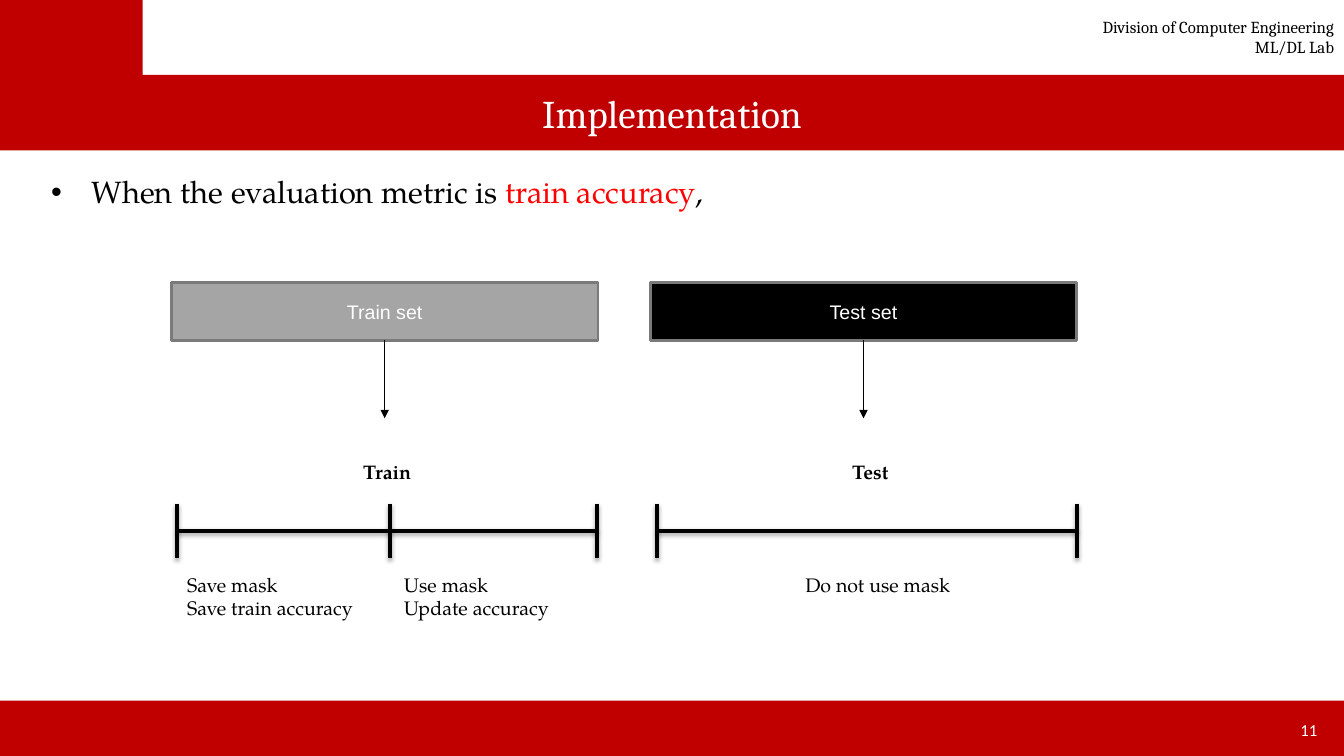
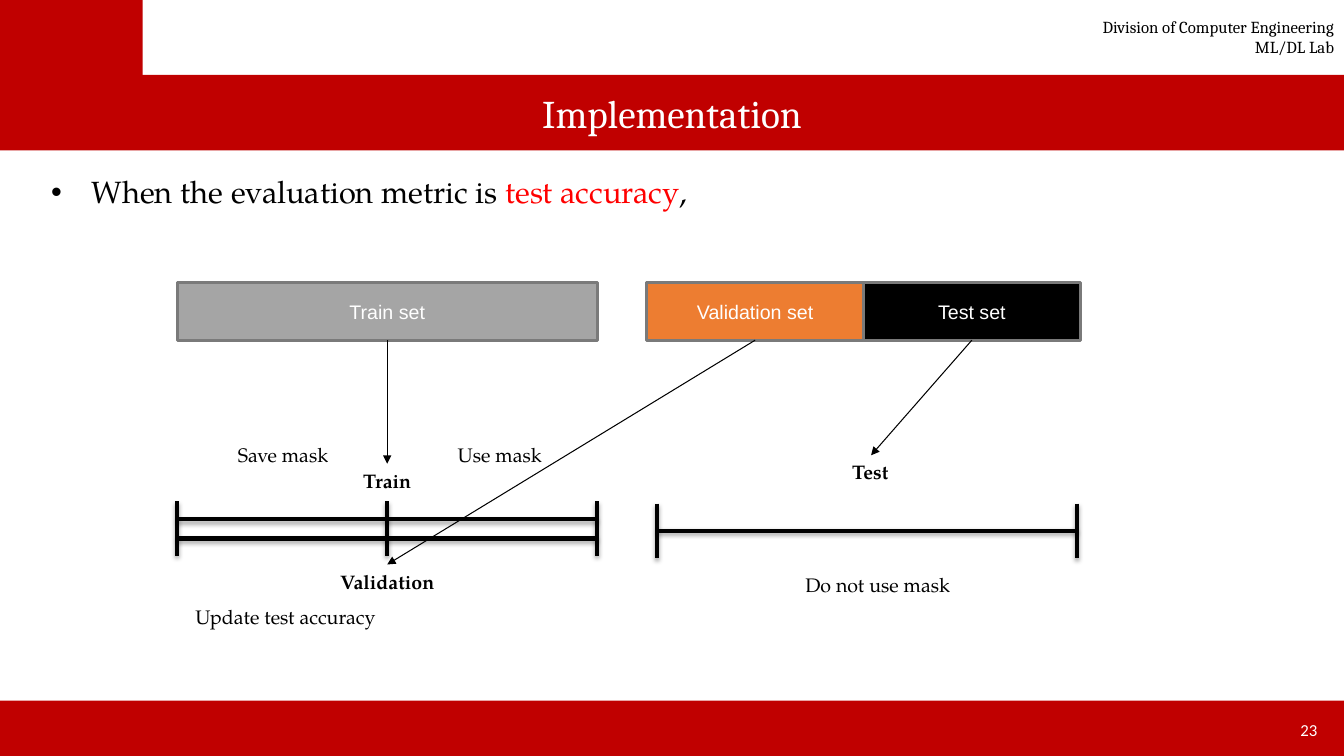
from dataclasses import dataclass

from lxml.etree import SubElement
from pptx import Presentation
from pptx.dml.color import RGBColor
from pptx.enum.shapes import MSO_CONNECTOR as Connector, MSO_SHAPE as Preset
from pptx.enum.text import MSO_ANCHOR as Anchor, MSO_AUTO_SIZE as AutoSize, PP_ALIGN as Align
from pptx.oxml.ns import qn
from pptx.presentation import Presentation as Deck
from pptx.slide import Slide, SlideLayout
from pptx.text.text import TextFrame
from pptx.util import Inches, Pt

COLUMNS, ROWS = 160, 90
WIDTH, HEIGHT = Inches(13.333), Inches(7.5)


@dataclass(frozen=True)
class Theme:
    red: str = "C00000"
    accent: str = "FF0000"
    gray: str = "A5A5A5"
    outline: str = "7A7A7A"
    orange: str = "ED7D31"
    black: str = "000000"
    white: str = "FFFFFF"
    heading_font: str = "Cambria"
    body_font: str = "TeX Gyre Pagella"
    number_font: str = "Calibri"
    box_font: str = "Arial"
    title_size: float = 28
    body_size: float = 22
    label_size: float = 14
    small_size: float = 12
    thick: float = 3
    thin: float = 0.75
    border: float = 2


THEME = Theme()


@dataclass(frozen=True)
class Area:
    column: float
    row: float
    columns: float
    rows: float

    def box(self) -> tuple[int, int, int, int]:
        return across(self.column), down(self.row), across(self.columns), down(self.rows)


@dataclass(frozen=True)
class Style:
    font: str
    size: float
    color: str
    bold: bool = False


@dataclass(frozen=True)
class DataBox:
    text: str
    fill: str
    column: float
    columns: float
    target: tuple[float, float]


@dataclass(frozen=True)
class Timeline:
    column: float
    row: float
    ticks: tuple[float, ...] = (0, 1)
    bars: tuple[float, ...] = (0,)


@dataclass(frozen=True)
class Label:
    lines: tuple[str, ...]
    column: float
    row: float
    bold: bool = False
    align: Align = Align.CENTER


@dataclass(frozen=True)
class Scene:
    number: str
    metric: str
    boxes: tuple[DataBox, ...]
    timelines: tuple[Timeline, ...]
    labels: tuple[Label, ...]


HEADING = Style(THEME.heading_font, THEME.title_size, THEME.white)
HEADER = Style(THEME.heading_font, THEME.small_size, THEME.black)
NUMBER = Style(THEME.number_font, THEME.small_size, THEME.white)
BODY = Style(THEME.body_font, THEME.body_size, THEME.black)
METRIC = Style(THEME.body_font, THEME.body_size, THEME.accent)
BOX_TEXT = Style(THEME.box_font, THEME.label_size, THEME.white)

TITLE_AREA = Area(0, 9, COLUMNS, 8.8)
BODY_AREA = Area(3.7, 20, 152.5, 7.4)
HEADER_AREA = Area(116.5, 1.4, 43.5, 6)
NUMBER_AREA = Area(122, 85.1, 36, 3.5)
BANDS = (Area(0, 83.4, COLUMNS, 6.6), Area(0, 8.9, COLUMNS, 9), Area(0, 0, 17, 9))

BOX_ROW, BOX_ROWS = 33.6, 6.9
TIMELINE_COLUMNS, TICK_REACH = 50, 3.25
LABEL_COLUMNS, LINE_ROWS = 25.8, 2.8
LEFT, RIGHT = 21.1, 78.2
LEFT_MIDDLE = LEFT + TIMELINE_COLUMNS / 2

TEST_LINE = Timeline(RIGHT, 63.2)
TEST_LABELS = (
    Label(("Do not use mask",), 91.6, 67.6),
    Label(("Test",), 90.7, 54.2, bold=True),
)

SCENES = (
    Scene(
        "11",
        "train accuracy",
        (
            DataBox("Train set", THEME.gray, 20.4, 50.8, (45.8, 49.8)),
            DataBox("Test set", THEME.black, 77.4, 50.8, (102.8, 49.8)),
        ),
        (Timeline(LEFT, 63.2, (0, 0.506, 1)), TEST_LINE),
        (
            Label(("Save mask", "Save train accuracy"), LEFT, 67.6, align=Align.LEFT),
            Label(("Use mask", "Update accuracy"), 46.9, 67.6, align=Align.LEFT),
            Label(("Train",), 33.2, 54.2, bold=True),
            *TEST_LABELS,
        ),
    ),
    Scene(
        "23",
        "test accuracy",
        (
            DataBox("Train set", THEME.gray, LEFT, 50, (LEFT_MIDDLE, 55.2)),
            DataBox("Validation set", THEME.orange, 77, 25.8, (LEFT_MIDDLE, 67.2)),
            DataBox("Test set", THEME.black, 102.8, 25.8, (103.7, 54.2)),
        ),
        (Timeline(LEFT, 62.9, (0, 0.5, 1), (-1.1, 1.2)), TEST_LINE),
        (
            Label(("Save mask",), 20.8, 52.1),
            Label(("Use mask",), 46.6, 52.1),
            Label(("Train",), 33.2, 55.2, bold=True),
            Label(("Validation",), 33.2, 67.2, bold=True),
            Label(("Update test accuracy",), LEFT, 71.4),
            *TEST_LABELS,
        ),
    ),
)


def across(columns: float) -> int:
    return round(WIDTH * columns / COLUMNS)


def down(rows: float) -> int:
    return round(HEIGHT * rows / ROWS)


def color(value: str) -> RGBColor:
    return RGBColor.from_string(value)


def add_run(paragraph, text: str, style: Style) -> None:
    run = paragraph.add_run()
    run.text = text
    run.font.name = style.font
    run.font.size = Pt(style.size)
    run.font.bold = style.bold
    run.font.color.rgb = color(style.color)


def write_lines(frame: TextFrame, lines: tuple[str, ...], style: Style, align: Align) -> None:
    frame.word_wrap = True
    for index, line in enumerate(lines):
        paragraph = frame.add_paragraph() if index else frame.paragraphs[0]
        paragraph.alignment = align
        add_run(paragraph, line, style)


def add_text(slide: Slide, area: Area, lines: tuple[str, ...], style: Style,
             align: Align, anchor: Anchor = Anchor.TOP):
    shape = slide.shapes.add_textbox(*area.box())
    shape.text_frame.vertical_anchor = anchor
    write_lines(shape.text_frame, lines, style, align)
    return shape


def add_rectangle(slide: Slide, area: Area, fill: str):
    shape = slide.shapes.add_shape(Preset.RECTANGLE, *area.box())
    shape.shadow.inherit = False
    shape.fill.solid()
    shape.fill.fore_color.rgb = color(fill)
    shape.line.fill.background()
    return shape


def add_line(slide: Slide, start: tuple[float, float], end: tuple[float, float], weight: float):
    line = slide.shapes.add_connector(
        Connector.STRAIGHT, across(start[0]), down(start[1]), across(end[0]), down(end[1]))
    line.line.color.rgb = color(THEME.black)
    line.line.width = Pt(weight)
    return line, SubElement(line.element.spPr, qn("a:effectLst"))


def add_arrow(slide: Slide, start: tuple[float, float], end: tuple[float, float]) -> None:
    line, _ = add_line(slide, start, end, THEME.thin)
    SubElement(line.element.spPr.find(qn("a:ln")), qn("a:tailEnd"), type="triangle")


def add_bar(slide: Slide, start: tuple[float, float], end: tuple[float, float]) -> None:
    _, effects = add_line(slide, start, end, THEME.thick)
    shadow = SubElement(effects, qn("a:outerShdw"), blurRad=str(Pt(3.1)), dist=str(Pt(1.8)),
                        dir="5400000", rotWithShape="0")
    shade = SubElement(shadow, qn("a:srgbClr"), val=THEME.black)
    SubElement(shade, qn("a:alpha"), val="35000")


def add_timeline(slide: Slide, timeline: Timeline) -> None:
    end = timeline.column + TIMELINE_COLUMNS
    for offset in timeline.bars:
        row = timeline.row + offset
        add_bar(slide, (timeline.column, row), (end, row))
    for share in timeline.ticks:
        column = timeline.column + TIMELINE_COLUMNS * share
        add_bar(slide, (column, timeline.row - TICK_REACH), (column, timeline.row + TICK_REACH))


def add_data_box(slide: Slide, box: DataBox) -> None:
    shape = add_rectangle(slide, Area(box.column, BOX_ROW, box.columns, BOX_ROWS), box.fill)
    shape.line.color.rgb = color(THEME.outline)
    shape.line.width = Pt(THEME.border)
    shape.text_frame.vertical_anchor = Anchor.MIDDLE
    write_lines(shape.text_frame, (box.text,), BOX_TEXT, Align.CENTER)
    add_arrow(slide, (box.column + box.columns / 2, BOX_ROW + BOX_ROWS), box.target)


def add_label(slide: Slide, label: Label) -> None:
    style = Style(THEME.body_font, THEME.label_size, THEME.black, label.bold)
    area = Area(label.column, label.row, LABEL_COLUMNS, 1.2 + LINE_ROWS * len(label.lines))
    add_text(slide, area, label.lines, style, label.align)


def prepare_layout(presentation: Deck) -> SlideLayout:
    layout = presentation.slide_layouts[1]
    areas = {0: TITLE_AREA, 1: BODY_AREA}
    for placeholder in list(layout.placeholders):
        area = areas.get(placeholder.placeholder_format.idx)
        if area:
            placeholder.left, placeholder.top, placeholder.width, placeholder.height = area.box()
        else:
            layout.shapes.element.remove(placeholder.element)
    return layout


def add_frame(slide: Slide, layout: SlideLayout) -> None:
    parts = [add_rectangle(slide, band, THEME.red) for band in BANDS]
    parts.append(add_text(slide, HEADER_AREA, ("Division of Computer Engineering", "ML/DL Lab"),
                          HEADER, Align.RIGHT, Anchor.MIDDLE))
    for part in parts:
        layout.shapes.element.append(part.element)


def fill_placeholders(slide: Slide, metric: str) -> None:
    title, body = slide.shapes.title.text_frame, slide.placeholders[1].text_frame
    title.auto_size = body.auto_size = AutoSize.NONE
    title.vertical_anchor = Anchor.MIDDLE
    write_lines(title, ("Implementation",), HEADING, Align.CENTER)
    paragraph = body.paragraphs[0]
    paragraph.space_before = Pt(4.8)
    properties = paragraph._p.get_or_add_pPr()
    properties.set("marL", str(Inches(0.5)))
    properties.set("indent", str(Inches(-0.4)))
    add_run(paragraph, "When the evaluation metric is ", BODY)
    add_run(paragraph, metric, METRIC)
    add_run(paragraph, ",", BODY)


def add_scene(slide: Slide, scene: Scene) -> None:
    fill_placeholders(slide, scene.metric)
    add_text(slide, NUMBER_AREA, (scene.number,), NUMBER, Align.RIGHT, Anchor.MIDDLE)
    for timeline in scene.timelines:
        add_timeline(slide, timeline)
    for label in scene.labels:
        add_label(slide, label)
    for box in scene.boxes:
        add_data_box(slide, box)


def main() -> None:
    presentation = Presentation()
    presentation.slide_width, presentation.slide_height = WIDTH, HEIGHT
    layout = prepare_layout(presentation)
    slides = [presentation.slides.add_slide(layout) for _ in SCENES]
    add_frame(slides[0], layout)
    for slide, scene in zip(slides, SCENES):
        add_scene(slide, scene)
    presentation.save("out.pptx")


if __name__ == "__main__":
    main()
